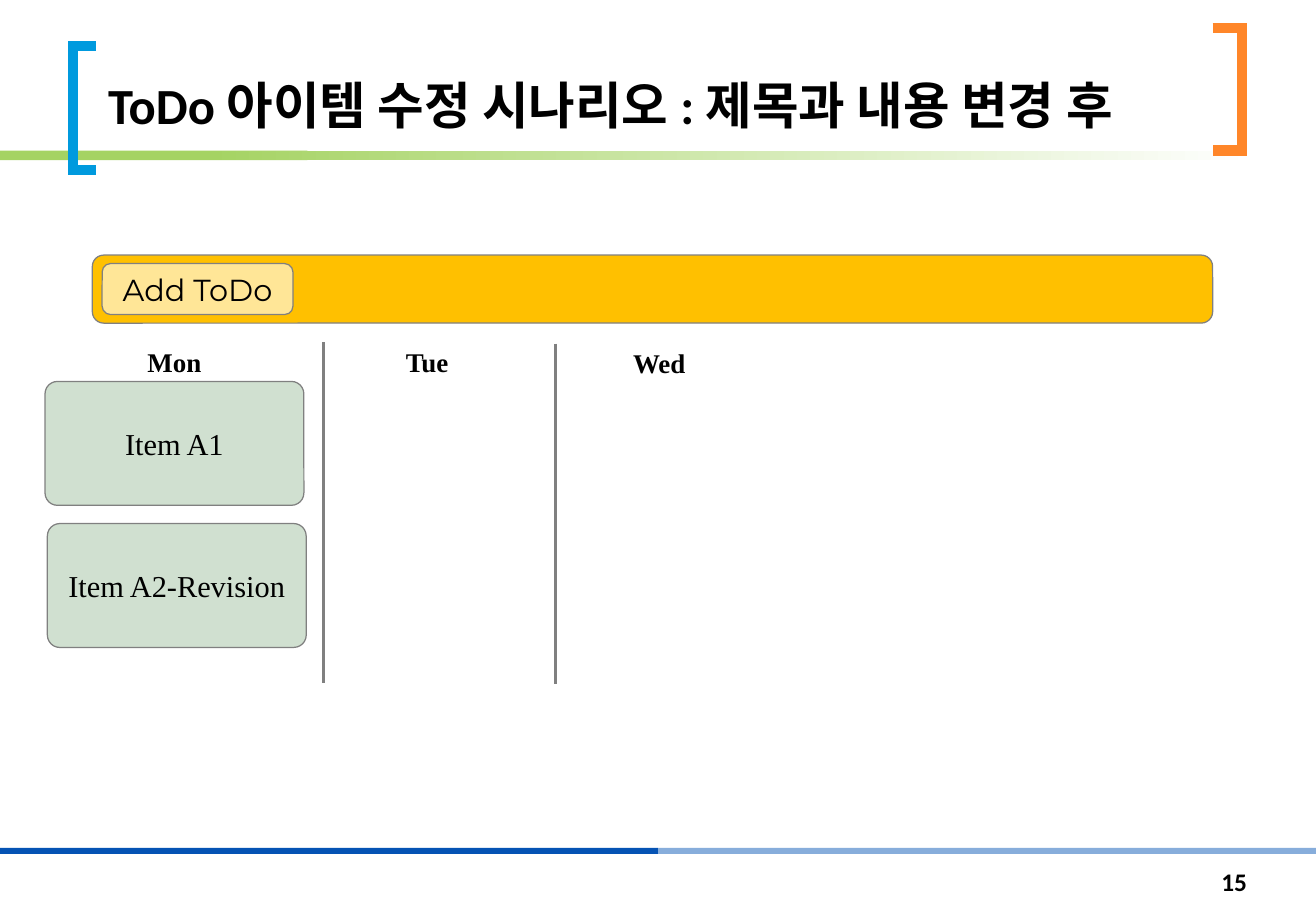
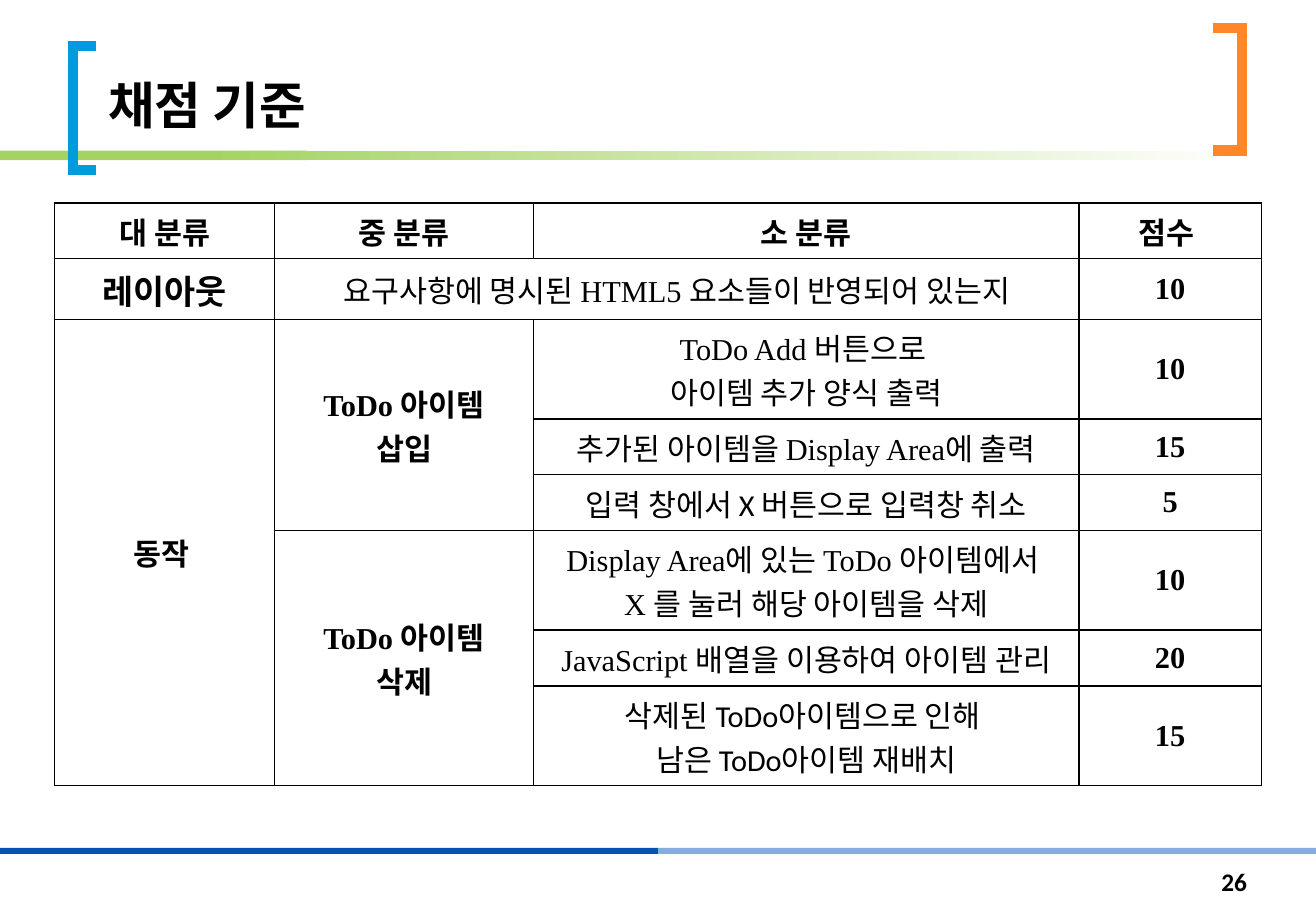
from lxml import etree
from pptx import Presentation
from pptx import util as u
from pptx.dml.color import RGBColor
from pptx.enum import shapes, text
from pptx.oxml.ns import qn

ink = RGBColor.from_string
kind = shapes.MSO_SHAPE
pos = text.PP_ALIGN
mid = text.MSO_ANCHOR.MIDDLE
serif, sans = "Times New Roman", "Calibri"

deck = Presentation()
deck.slide_width, deck.slide_height = u.Inches(10.83), u.Inches(7.5)
wide, tall = deck.slide_width / 100, deck.slide_height / 100


def box(page, form, x, y, w, h, fill=None, line=None, adj=None):
    item = page.shapes.add_shape(form, int(x * wide), int(y * tall), int(w * wide), int(h * tall))
    item.shadow.inherit = False
    if fill:
        item.fill.solid()
        item.fill.fore_color.rgb = ink(fill)
    if line:
        item.line.color.rgb = ink(line)
        item.line.width = u.Pt(0.75)
    else:
        item.line.fill.background()
    if adj:
        item.adjustments[0] = adj
    return item


def say(frame, words, size, font, bold=False, side=pos.CENTER, wrap=False):
    frame.word_wrap = wrap
    for n, row in enumerate(words.split("\n")):
        par = frame.add_paragraph() if n else frame.paragraphs[0]
        par.alignment = side
        run = par.add_run()
        run.text = row
        run.font.size, run.font.name, run.font.bold = u.Pt(size), font, bold
        run.font.color.rgb = ink("000000")


heads = [("ToDo 아이템 수정 시나리오 : 제목과 내용 변경 후", "15"), ("채점 기준", "26")]
pages = []
for head, num in heads:
    page = deck.slides.add_slide(deck.slide_layouts[5])
    pages.append(page)
    box(page, kind.RECTANGLE, 50, 93.07, 50, 0.67, "87ADDB")
    box(page, kind.RECTANGLE, 0, 16.53, 23.36, 1.07, "A5D363")
    fade = box(page, kind.RECTANGLE, 15.88, 16.53, 79.22, 1.07)
    fade.fill.gradient()
    fade.fill.gradient_angle = 0
    for stop, tone, at in zip(fade.fill.gradient_stops, ("A5D363", "FFFFFF"), (0, 1)):
        stop.color.rgb = ink(tone)
        stop.position = at
    for tip, back, top, base, tone in [(7.29, 5.54, 5.07, 18.67, "009ADE"),
                                       (92.15, 94.37, 3.07, 16.53, "FF8629")]:
        pen = page.shapes.build_freeform(int(tip * wide), int(top * tall))
        pen.add_line_segments([(int(x * wide), int(y * tall)) for x, y in
                               ((back, top), (back, base), (tip, base))], close=False)
        edge = pen.convert_to_shape()
        edge.shadow.inherit = False
        edge.fill.background()
        edge.line.color.rgb = ink(tone)
        edge.line.width = u.Pt(6)
        etree.SubElement(edge.line._get_or_add_ln(), qn("a:miter"), lim="800000")
    box(page, kind.RECTANGLE, 0, 93.07, 50, 0.67, "0553B4")

    title = page.shapes.title
    title.left, title.top = int(7.29 * wide), int(0.53 * tall)
    title.width, title.height = int(84.86 * wide), int(14.93 * tall)
    title.text_frame.auto_size = text.MSO_AUTO_SIZE.NONE
    title.text_frame.vertical_anchor = text.MSO_ANCHOR.BOTTOM
    say(title.text_frame, head, 30, sans, True, pos.LEFT, True)

    foot = page.shapes.add_textbox(int(81.99 * wide), int(94.13 * tall),
                                   int(13.67 * wide), int(5.33 * tall))
    foot.text_frame.vertical_anchor = mid
    say(foot.text_frame, num, 15, sans, True, pos.RIGHT, True)

plan, marks = pages
col = 19.67
box(plan, kind.ROUNDED_RECTANGLE, 7.02, 28, 85.13, 7.47, "FFC000", "808080")
add = box(plan, kind.ROUNDED_RECTANGLE, 7.76, 28.93, 14.5, 5.6, "FFE697", "808080")
say(add.text_frame, "Add ToDo", 18, "Montserrat")
for day, x, y in [("Mon", 3.42, 37.6), ("Tue", 22.62, 37.6), ("Wed", 40.26, 37.73)]:
    tab = box(plan, kind.ROUNDED_RECTANGLE, x, y, col, 4.13, "FFFFFF", adj=0.35)
    say(tab.text_frame, day, 16, serif, True)
for x, y in [(24.56, 37.6), (42.2, 37.73)]:
    rule = plan.shapes.add_connector(shapes.MSO_CONNECTOR.STRAIGHT, int(x * wide), int(y * tall),
                                     int(x * wide), int((y + 37.4) * tall))
    rule.line.color.rgb = ink("808080")
    rule.line.width = u.Pt(2)
    etree.SubElement(rule._element.spPr, qn("a:effectLst"))
for name, x, y in [("Item A1", 3.42, 41.87), ("Item A2-Revision", 3.6, 57.47)]:
    card = box(plan, kind.ROUNDED_RECTANGLE, x, y, col, 13.6, "D0E0D0", "808080", 0.1)
    say(card.text_frame, name, 18, serif)

rows = [
    ["대 분류", "중 분류", "소 분류", "점수 "],
    ["레이아웃", "요구사항에 명시된 HTML5 요소들이 반영되어 있는지", "", "10"],
    ["동작 ", "ToDo 아이템\n삽입", "ToDo Add 버튼으로 \n아이템 추가 양식 출력", "10"],
    ["", "", "추가된 아이템을 Display Area에 출력", "15"],
    ["", "", "입력 창에서 X 버튼으로 입력창 취소", "5"],
    ["", "ToDo 아이템\n삭제", "Display Area에 있는 ToDo 아이템에서 \nX 를 눌러 해당 아이템을 삭제", "10"],
    ["", "", "JavaScript 배열을 이용하여 아이템 관리", "20"],
    ["", "", "삭제된 ToDo아이템으로 인해 \n남은 ToDo아이템 재배치", "15"],
]
cols = [16.71, 19.67, 41.46, 13.85]
highs = [6.13, 6.67, 10.93, 6.13, 6.13, 10.93, 6.13, 10.93]
grid = marks.shapes.add_table(len(rows), len(cols), int(4.16 * wide), int(22.27 * tall),
                              int(sum(cols) * wide), int(sum(highs) * tall)).table
grid.first_row = grid.horz_banding = False
for c, w in enumerate(cols):
    grid.columns[c].width = int(w * wide)
for r, h in enumerate(highs):
    grid.rows[r].height = int(h * tall)
for r, c, low, far in [(1, 1, 1, 2), (2, 0, 7, 0), (2, 1, 4, 1), (5, 1, 7, 1)]:
    grid.cell(r, c).merge(grid.cell(low, far))
plain = {(1, 1)} | {(r, 2) for r in range(2, 8)}
for r, row in enumerate(rows):
    for c, words in enumerate(row):
        cell = grid.cell(r, c)
        cell.vertical_anchor = mid
        prop = cell._tc.get_or_add_tcPr()
        for side in ("lnL", "lnR", "lnT", "lnB"):
            line = etree.SubElement(prop, qn("a:" + side), w=str(u.Pt(1)))
            paint = etree.SubElement(line, qn("a:solidFill"))
            etree.SubElement(paint, qn("a:srgbClr"), val="000000")
        cell.fill.background()
        if words:
            font = sans if (r, c) in {(2, 0), (4, 2), (7, 2)} else serif
            size = 20 if (r, c) == (1, 0) else 18
            say(cell.text_frame, words, size, font, (r, c) not in plain, wrap=True)

deck.save("out.pptx")
